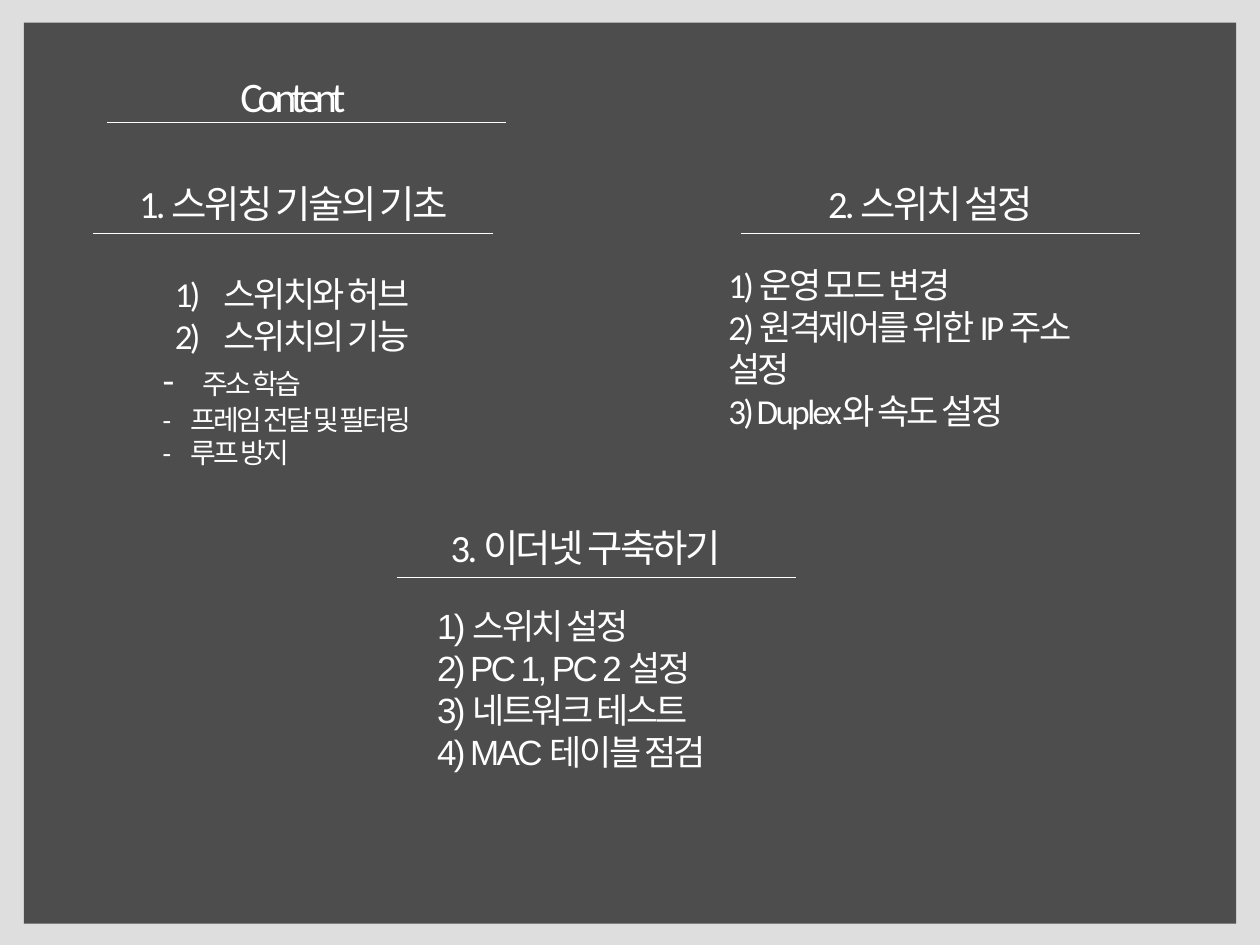
from lxml.etree import SubElement
from pptx import Presentation
from pptx.dml.color import RGBColor
from pptx.enum.shapes import MSO_CONNECTOR, MSO_SHAPE
from pptx.enum.text import MSO_ANCHOR, MSO_AUTO_SIZE, PP_ALIGN
from pptx.oxml.ns import qn
from pptx.util import Pt


def color(hex_value):
    return RGBColor.from_string(hex_value)


class ContentSlide:
    text_color = "FFFFFF"
    panel_color = "000000"
    rule_length = 228.24
    heading_height = 34

    def __init__(self, slide):
        self.slide = slide
        self.panel_count = 0

    def panel(self, left, top, width, height, opacity):
        """Translucent rectangle behind all the text."""
        shapes = self.slide.shapes
        panel = shapes.add_shape(MSO_SHAPE.RECTANGLE, Pt(left), Pt(top), Pt(width), Pt(height))
        panel.shadow.inherit = False
        panel.line.fill.background()
        panel.fill.solid()
        panel.fill.fore_color.rgb = color(self.panel_color)
        fill_color = panel._element.spPr.find(".//" + qn("a:srgbClr"))
        SubElement(fill_color, qn("a:alpha"), val=str(opacity * 1000))
        # The first two children of the tree are its properties
        shapes._spTree.insert(2 + self.panel_count, panel._element)
        self.panel_count += 1

    def rule(self, left, top):
        rule = self.slide.shapes.add_connector(
            MSO_CONNECTOR.STRAIGHT, Pt(left), Pt(top), Pt(left + self.rule_length), Pt(top))
        rule.line.color.rgb = color(self.text_color)
        rule.line.width = Pt(0.5)
        SubElement(rule._element.spPr, qn("a:effectLst"))

    def text(self, lines, box, holder=None, size=20, font="Calibri", spacing=-1.5,
             align=PP_ALIGN.LEFT, wrap=True):
        """Each line is (text, size, first-line start, hanging text start) or plain text."""
        left, top, width, height = map(Pt, box)
        if holder is None:
            holder = self.slide.shapes.add_textbox(left, top, width, height)
        holder.left, holder.top, holder.width, holder.height = left, top, width, height
        frame = holder.text_frame
        frame.auto_size = MSO_AUTO_SIZE.NONE
        frame.word_wrap = wrap
        frame.vertical_anchor = MSO_ANCHOR.TOP
        for number, line in enumerate(lines):
            words, line_size, start, hang = (line, size, 0, 0) if isinstance(line, str) else line
            paragraph = frame.paragraphs[0] if number == 0 else frame.add_paragraph()
            properties = paragraph._p.get_or_add_pPr()
            properties.set("marL", str(Pt(hang)))
            properties.set("indent", str(Pt(start - hang)))
            SubElement(properties, qn("a:buNone"))
            paragraph.space_before = Pt(0)
            paragraph.alignment = align
            paragraph.font.size = Pt(line_size)
            paragraph.font.name = font
            paragraph.font.bold = False
            paragraph.font.color.rgb = color(self.text_color)
            for part in words if isinstance(words, list) else [(words, None)]:
                run = paragraph.add_run()
                run.text, run_size = part
                if run_size:
                    run.font.size = Pt(run_size)
                run._r.get_or_add_rPr().set("spc", str(int(spacing * 100)))

    def heading(self, words, left, width, rule_left, rule_top, holder=None):
        box = (left, rule_top - self.heading_height, width, self.heading_height)
        self.text([words], box, holder, size=22, align=PP_ALIGN.CENTER, wrap=False)
        self.rule(rule_left, rule_top)


def main():
    deck = Presentation()
    deck.slide_width, deck.slide_height = Pt(720), Pt(540)
    slide = deck.slides.add_slide(deck.slide_layouts.get_by_name("Comparison"))
    title, basics_head, basics_list, setup_head, setup_list = slide.placeholders
    content = ContentSlide(slide)

    # Backdrop
    content.panel(0, 0, 720, 540, opacity=13)
    content.panel(13.68, 12.96, 692.64, 514.8, opacity=65)

    # Title
    content.text(["Content"], (15.12, 36.72, 304.56, 36), title, size=24, spacing=-3,
                 align=PP_ALIGN.CENTER)
    content.rule(61.2, 69.84)

    # 1. Switching basics
    content.heading("1. 스위칭 기술의 기초", 64.8, 205.92, 53.28, 133.2, basics_head)
    content.text([
        ("1)\t스위치와 허브", 20, 7, 35),
        ("2)\t스위치의 기능", 20, 7, 35),
        ([("-\t", 22), ("주소 학습", None)], 16, 0, 23),
        ("-\t프레임 전달 및 필터링", 16, 0, 16),
        ("-\t루프 방지", 16, 0, 16),
    ], (85.68, 151.92, 170, 120.96), basics_list)

    # 2. Switch setup
    content.heading("2. 스위치 설정", 462.24, 138.96, 423.36, 133.2, setup_head)
    content.text([
        "1) 운영 모드 변경",
        "2) 원격제어를 위한 IP 주소 설정",
        "3) Duplex와 속도 설정",
    ], (408.96, 146.88, 240, 99.36), setup_list)

    # 3. Building the Ethernet
    content.heading("3. 이더넷 구축하기", 244.8, 180, 226.8, 329.76)
    content.text([
        "1) 스위치 설정",
        "2) PC 1, PC 2 설정",
        "3) 네트워크 테스트",
        "4) MAC 테이블 점검",
    ], (242.64, 342, 178.56, 104.4), font="Arial")

    deck.save("out.pptx")


if __name__ == "__main__":
    main()
